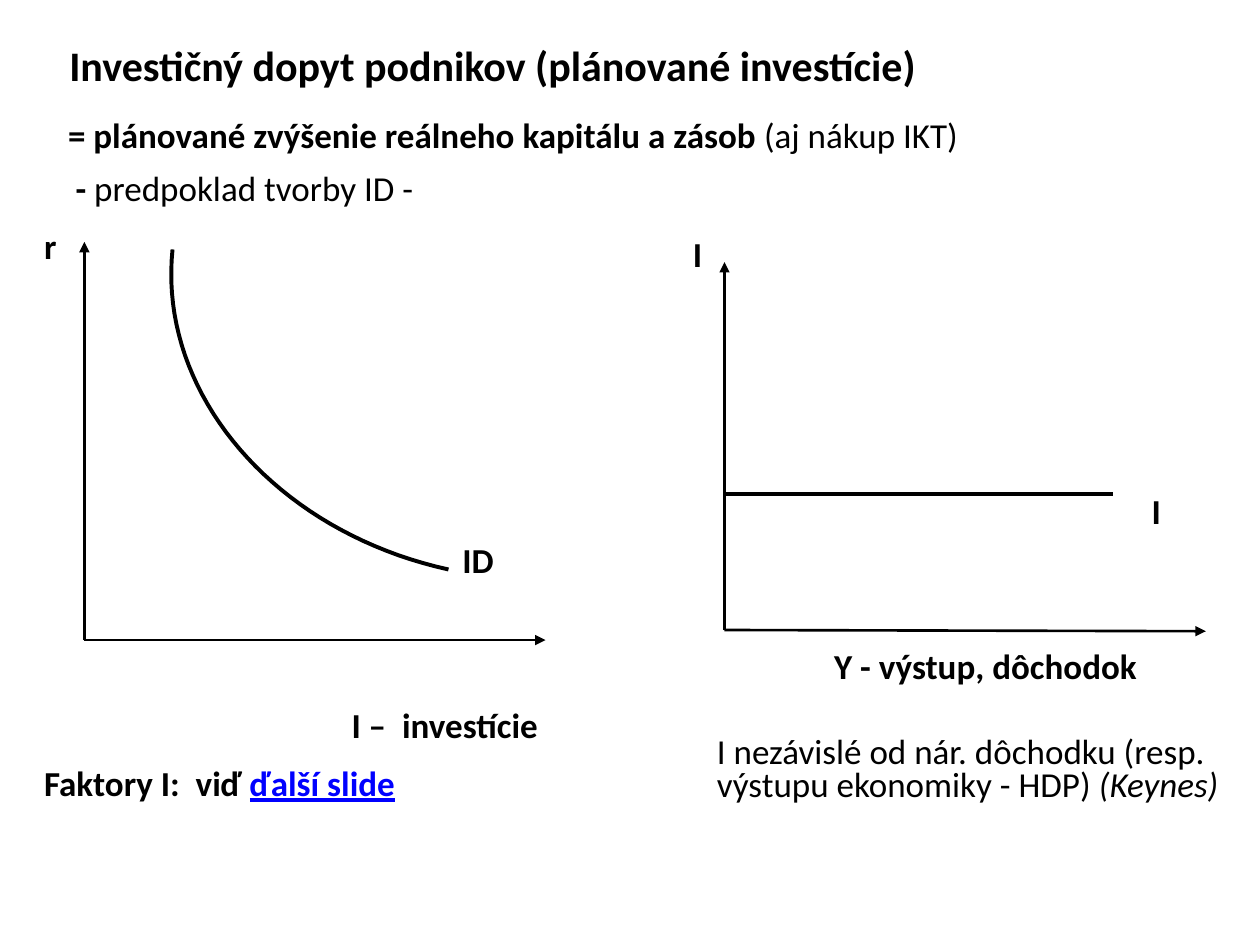
"""Build the slide on firms' investment demand with its two diagrams."""
from dataclasses import dataclass

from lxml.etree import SubElement
from pptx import Presentation
from pptx.dml.color import RGBColor
from pptx.enum.shapes import MSO_CONNECTOR
from pptx.enum.text import MSO_ANCHOR
from pptx.oxml.ns import qn
from pptx.util import Inches, Pt


@dataclass(frozen=True)
class Theme:
    font: str = "Calibri"
    ink: RGBColor = RGBColor(0, 0, 0)
    link: RGBColor = RGBColor(0, 0, 255)
    title: int = 24
    body: int = 20
    axis: float = 1.5
    curve: float = 2.25


@dataclass(frozen=True)
class Run:
    text: str
    bold: bool = True
    italic: bool = False
    link: bool = False


@dataclass(frozen=True)
class Label:
    left: float
    middle: float
    width: float
    runs: tuple[Run, ...]
    size: int = Theme.body
    spacing: float = 1.0
    height: float = 0.4


@dataclass(frozen=True)
class Line:
    start: tuple[float, float]
    end: tuple[float, float]
    weight: float = Theme.axis
    arrow: bool = True


THEME = Theme()

LABELS = (
    Label(0.55, 0.51, 8, (Run("Investičný dopyt podnikov (plánované investície)"),), THEME.title),
    Label(0.54, 1.07, 8.5, (
        Run("= plánované zvýšenie reálneho kapitálu a zásob "),
        Run("(aj nákup IKT)", bold=False),
    )),
    Label(0.6, 1.49, 4, (Run("- "), Run("predpoklad tvorby ID -", bold=False))),
    Label(0.35, 1.95, 0.3, (Run("r"),)),
    Label(3.67, 4.44, 0.5, (Run("ID"),)),
    Label(2.79, 5.75, 2, (Run("I –  investície"),)),
    Label(0.35, 6.21, 4, (Run("Faktory I:  viď "), Run("ďalší slide", link=True))),
    Label(5.5, 2.01, 0.3, (Run("I"),)),
    Label(9.14, 4.05, 0.3, (Run("I"),)),
    Label(6.62, 5.28, 3, (Run("Y - výstup, dôchodok"),)),
    Label(5.69, 6.12, 4.1, (
        Run("I nezávislé od nár. dôchodku (resp. výstupu ekonomiky - HDP) ", bold=False),
        Run("(Keynes)", bold=False, italic=True),
    ), spacing=0.8, height=0.6),
)

LINES = (
    Line((0.67, 5.08), (4.33, 5.08)),
    Line((0.67, 5.08), (0.67, 1.92)),
    Line((5.75, 5), (9.57, 5.01)),
    Line((5.75, 5), (5.75, 2.08)),
    Line((5.75, 3.92), (8.83, 3.92), THEME.curve, arrow=False),
)

DEMAND_CURVE = ((3.56, 4.52), (2.19, 4.22), (1.25, 3.13), (1.37, 1.98))
CURVE_STEPS = 40


def add_label(s, label: Label) -> None:
    sp = s.shapes.add_textbox(
        Inches(label.left), Inches(label.middle - label.height / 2),
        Inches(label.width), Inches(label.height),
    )
    tf = sp.text_frame
    tf.word_wrap = True
    tf.vertical_anchor = MSO_ANCHOR.MIDDLE
    tf.margin_left = tf.margin_right = tf.margin_top = tf.margin_bottom = 0
    p = tf.paragraphs[0]
    p.line_spacing = label.spacing
    for run in label.runs:
        r = p.add_run()
        r.text = run.text
        r.font.name = THEME.font
        r.font.size = Pt(label.size)
        r.font.bold = run.bold
        r.font.italic = run.italic
        r.font.underline = run.link
        r.font.color.rgb = THEME.link if run.link else THEME.ink


def add_line(s, line: Line) -> None:
    sp = s.shapes.add_connector(
        MSO_CONNECTOR.STRAIGHT, *(Inches(v) for v in line.start + line.end)
    )
    sp.line.color.rgb = THEME.ink
    sp.line.width = Pt(line.weight)
    if line.arrow:
        SubElement(sp.line._get_or_add_ln(), qn("a:tailEnd"), type="triangle")
    SubElement(sp._element.spPr, qn("a:effectLst"))


def bezier(points: tuple[tuple[float, float], ...], t: float) -> tuple[int, int]:
    weights = ((1 - t) ** 3, 3 * t * (1 - t) ** 2, 3 * t**2 * (1 - t), t**3)
    x, y = (sum(w * c for w, c in zip(weights, axis)) for axis in zip(*points))
    return Inches(x), Inches(y)


def add_curve(s, points: tuple[tuple[float, float], ...]) -> None:
    start, *rest = (bezier(points, i / CURVE_STEPS) for i in range(CURVE_STEPS + 1))
    builder = s.shapes.build_freeform(*start)
    builder.add_line_segments(rest, close=False)
    sp = builder.convert_to_shape()
    sp.fill.background()
    sp.line.color.rgb = THEME.ink
    sp.line.width = Pt(THEME.curve)
    sp.shadow.inherit = False


def main() -> None:
    prs = Presentation()
    prs.slide_width, prs.slide_height = Inches(10), Inches(7.5)
    s = prs.slides.add_slide(prs.slide_layouts[6])
    for label in LABELS:
        add_label(s, label)
    for line in LINES:
        add_line(s, line)
    add_curve(s, DEMAND_CURVE)
    prs.save("out.pptx")


main()
